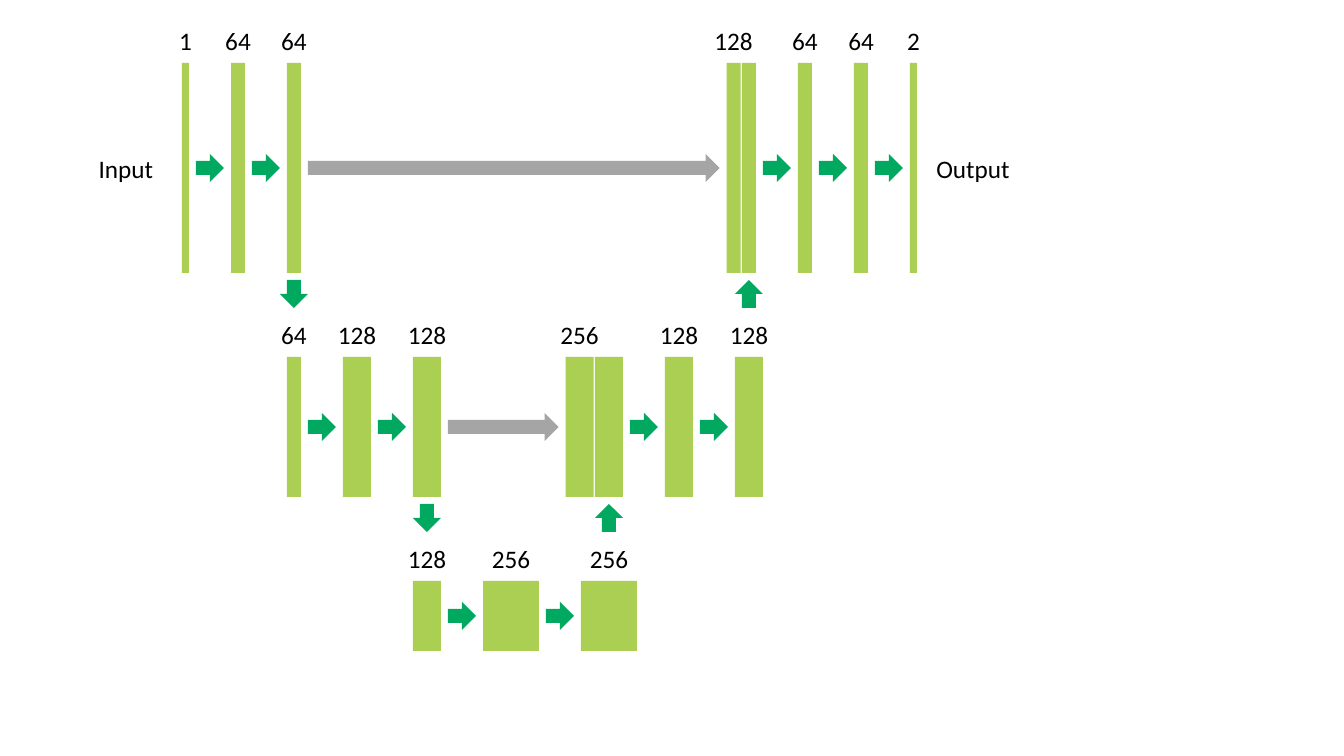
from pptx import Presentation
from pptx.dml.color import RGBColor
from pptx.enum.shapes import MSO_SHAPE
from pptx.enum.text import MSO_ANCHOR, PP_ALIGN
from pptx.util import Pt

RECT = MSO_SHAPE.RECTANGLE
RIGHT = MSO_SHAPE.RIGHT_ARROW
DOWN = MSO_SHAPE.DOWN_ARROW
UP = MSO_SHAPE.UP_ARROW
MIDDLE = MSO_ANCHOR.MIDDLE
CENTER = PP_ALIGN.CENTER

LIME = RGBColor(0xAA, 0xCF, 0x52)
GREEN = RGBColor(0x00, 0xA9, 0x5F)
GRAY = RGBColor(0xA5, 0xA5, 0xA5)
BLACK = RGBColor(0x00, 0x00, 0x00)

PX = 914400 // 144
GAP = 10
ARROW = 40

LEVELS = [
    (90, 300, 260, [(10, "1"), (20, "64"), (20, "64")],
     1060, [(20, ""), (20, "64"), (20, "64"), (10, "2")], "128"),
    (510, 200, 410, [(20, "64"), (40, "128"), (40, "128")],
     850, [(40, ""), (40, "128"), (40, "128")], "256"),
]
BOTTOM = (830, 100, 590, [(40, "128"), (80, "256"), (80, "256")])


class Net:
    """Draws the blocks, arrows and labels of a U-shaped network on a slide."""

    def __init__(self, slide, font="Calibri", size=18):
        self.slide = slide
        self.font = font
        self.size = size

    def shape(self, kind, x, y, wide, high, color):
        item = self.slide.shapes.add_shape(kind, x * PX, y * PX, wide * PX, high * PX)
        item.shadow.inherit = False
        item.fill.solid()
        item.fill.fore_color.rgb = color
        item.line.fill.background()

    def text(self, x, y, wide, words):
        box = self.slide.shapes.add_textbox(x * PX, y * PX, wide * PX, 60 * PX)
        frame = box.text_frame
        frame.word_wrap = True
        frame.vertical_anchor = MIDDLE
        para = frame.paragraphs[0]
        para.text = words
        para.alignment = CENTER
        para.font.name = self.font
        para.font.size = Pt(self.size)
        para.font.color.rgb = BLACK

    def block(self, x, top, wide, high, label):
        self.shape(RECT, x, top, wide, high, LIME)
        if label:
            self.text(x + wide // 2 - 60, top - 62, 120, label)

    def chain(self, x, top, high, blocks):
        for index, (wide, label) in enumerate(blocks):
            if index:
                self.arrow(x - GAP - ARROW, top + high // 2, ARROW, GREEN)
                
            self.block(x, top, wide, high, label)
            end = x + wide
            x = end + ARROW + 2 * GAP
        return end

    def arrow(self, x, mid, wide, color):
        self.shape(RIGHT, x, mid - ARROW // 2, wide, ARROW, color)

    def step(self, kind, mid, y):
        self.shape(kind, mid - ARROW // 2, y, ARROW, ARROW, GREEN)

    def level(self, top, high, left, down, right, up, label):
        end = self.chain(left, top, high, down)
        self.chain(right, top, high, up)
        wide = up[0][0]
        skip = right - wide - 2
        self.block(skip, top, wide, high, label)
        start = end + GAP
        self.arrow(start, top + high // 2, skip - GAP - start, GRAY)
        below = top + high + GAP
        self.step(DOWN, end - down[-1][0] // 2, below)
        self.step(UP, right + wide // 2, below)


def main():
    deck = Presentation()
    deck.slide_width = 1920 * PX
    deck.slide_height = 1080 * PX
    net = Net(deck.slides.add_slide(deck.slide_layouts[6]))
    for level in LEVELS:
        net.level(*level)
    top, high, left, blocks = BOTTOM
    net.chain(left, top, high, blocks)
    net.text(100, 210, 160, "Input")
    net.text(1310, 210, 160, "Output")
    deck.save("out.pptx")


if __name__ == "__main__":
    main()
